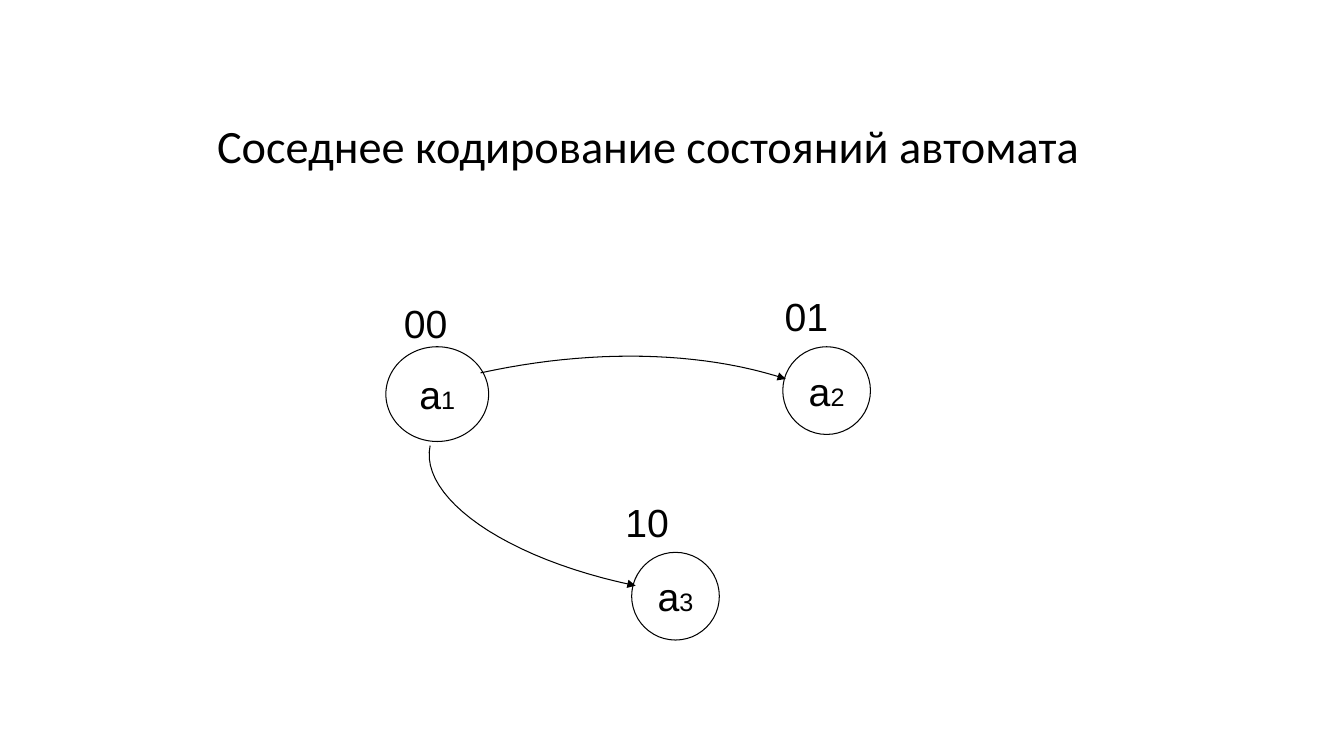
"""Build a slide about adjacent coding of automaton states."""
from lxml import etree
from pptx import Presentation
from pptx.dml.color import RGBColor
from pptx.enum.shapes import MSO_SHAPE
from pptx.enum.text import MSO_ANCHOR, PP_ALIGN
from pptx.oxml.ns import qn
from pptx.util import Inches, Pt

BLACK = RGBColor(0, 0, 0)
OVAL = MSO_SHAPE.OVAL
MIDDLE = MSO_ANCHOR.MIDDLE
CENTER = PP_ALIGN.CENTER
CURVE_STEPS = 24


def format_run(run, size, name="Arial"):
    run.font.size = Pt(size)
    run.font.name = name
    run.font.color.rgb = BLACK


def outline(shape):
    shape.shadow.inherit = False
    shape.fill.background()
    shape.line.color.rgb = BLACK
    shape.line.width = Pt(0.75)


presentation = Presentation()
presentation.slide_width = Inches(13.34)
presentation.slide_height = Inches(7.5)
slide = presentation.slides.add_slide(presentation.slide_layouts[5])

title = slide.shapes.title
title.left, title.top = Inches(1.12), Inches(0.85)
title.width, title.height = Inches(10.63), Inches(1.25)
title.text_frame.text = "Соседнее кодирование состояний автомата"
title.text_frame.vertical_anchor = MIDDLE
paragraph = title.text_frame.paragraphs[0]
paragraph.alignment = CENTER
paragraph.line_spacing = 0.9
format_run(paragraph.runs[0], 33.1, "Calibri")

states = [
    ("1", 3.83, 3.44, 1.02, 0.94),
    ("2", 7.77, 3.44, 0.87, 0.87),
    ("3", 6.27, 5.48, 0.87, 0.87),
]
for index, left, top, width, height in states:
    state = slide.shapes.add_shape(
        OVAL, Inches(left), Inches(top), Inches(width), Inches(height))
    outline(state)
    state.text_frame.word_wrap = False
    state.text_frame.vertical_anchor = MIDDLE
    paragraph = state.text_frame.paragraphs[0]
    paragraph.alignment = CENTER
    for text, size in (("a", 28), (index, 18)):
        run = paragraph.add_run()
        run.text = text
        format_run(run, size)

for code, left, top in (("00", 3.91, 2.92), ("01", 7.69, 2.85), ("10", 6.11, 4.89)):
    label = slide.shapes.add_textbox(
        Inches(left), Inches(top), Inches(1.02), Inches(0.57))
    label.text_frame.word_wrap = True
    label.text_frame.text = code
    format_run(label.text_frame.paragraphs[0].runs[0], 28)

transitions = [
    [(4.77, 3.7), (5.86, 3.46), (6.95, 3.48), (7.8, 3.76)],
    [(4.27, 4.42), (4.16, 4.93), (5, 5.54), (6.31, 5.81)],
]
for controls in transitions:
    points = []
    for step in range(CURVE_STEPS + 1):
        t = step / CURVE_STEPS
        weights = ((1 - t) ** 3, 3 * t * (1 - t) ** 2, 3 * t ** 2 * (1 - t), t ** 3)
        points.append(tuple(
            Inches(sum(weight * point[axis] for weight, point in zip(weights, controls)))
            for axis in (0, 1)))
    builder = slide.shapes.build_freeform(*points[0])
    builder.add_line_segments(points[1:], close=False)
    arrow = builder.convert_to_shape()
    outline(arrow)
    etree.SubElement(arrow.line._get_or_add_ln(), qn("a:tailEnd"),
                     type="triangle", w="med", len="med")

presentation.save("out.pptx")
